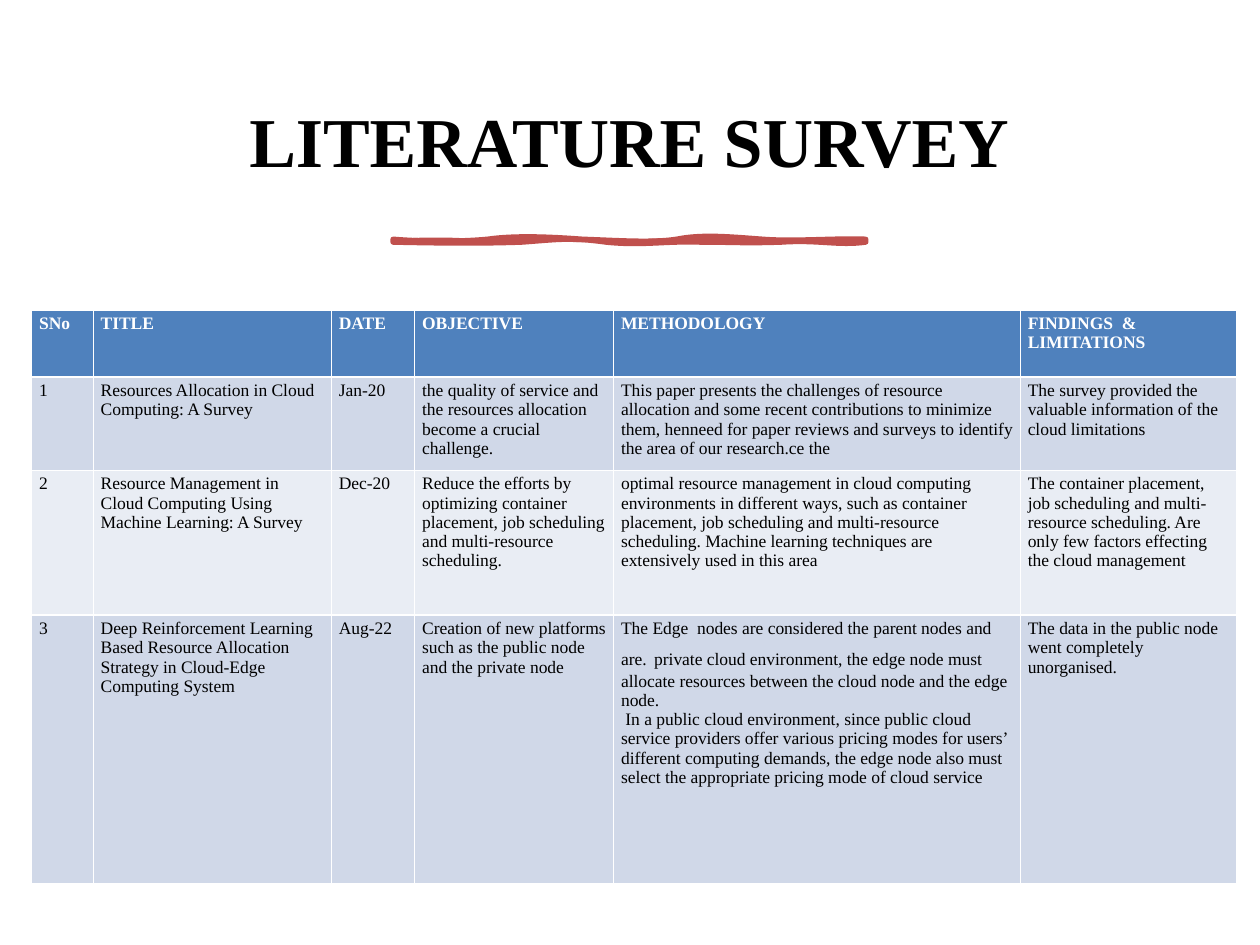
"""Build the literature survey slide: title, brush stroke and table of papers."""
import lxml.etree
import pptx
import pptx.dml.color
import pptx.enum.text
import pptx.oxml.ns
import pptx.util

Cm, Pt = pptx.util.Cm, pptx.util.Pt
qn = pptx.oxml.ns.qn

COLORS = {"text": "000000", "header_text": "FFFFFF", "header": "4F81BD",
          "odd": "D0D8E8", "even": "E9EDF4", "stroke": "C0504D"}
FONT = "Times New Roman"
TITLE = "LITERATURE SURVEY"
HEADERS = ["SNo", "TITLE", "DATE", "OBJECTIVE", "METHODOLOGY", "FINDINGS  & LIMITATIONS"]
PAPERS = [
    ["1", "Resources Allocation in Cloud Computing: A Survey", "Jan-20",
     "the quality of service and the resources allocation become a crucial challenge.",
     "This paper presents the challenges of resource allocation and some recent contributions "
     "to minimize them, henneed for paper reviews and surveys to identify the area of our "
     "research.ce the",
     "The survey provided the valuable information of the cloud limitations"],
    ["2", "Resource Management in Cloud Computing Using Machine Learning: A Survey", "Dec-20",
     "Reduce the efforts by optimizing container placement, job scheduling and "
     "multi-resource scheduling.",
     "optimal resource management in cloud computing environments in different ways, such as "
     "container placement, job scheduling and multi-resource scheduling. Machine learning "
     "techniques are extensively used in this area",
     "The container placement, job scheduling and multi-resource scheduling. Are only few "
     "factors effecting the cloud management"],
    ["3", "Deep Reinforcement Learning Based Resource Allocation Strategy in Cloud-Edge "
     "Computing System", "Aug-22",
     "Creation of new platforms such as the public node and the private node",
     [[("The Edge  nodes are considered the parent nodes and are.", 10), (" ", 17),
       ("private cloud environment, the edge node must allocate resources between the cloud "
        "node and the edge node.", 10)],
      [(" In a public cloud environment, since public cloud service providers offer various "
        "pricing modes for users’ different computing demands, the edge node also must select "
        "the appropriate pricing mode of cloud service", 10)]],
     "The data in the public node went completely unorganised."],
]
COL_WIDTHS = [1.24, 4.8, 1.68, 4.01, 8.2, 4.37]
ROW_HEIGHTS = [1.35, 1.88, 2.92, 5.41]

STROKE_LEFT, STROKE_TOP, STROKE_W, STROKE_H = 312, 190, 375, 2
OUTLINE = [
    (24, 2, 54, 2, 75, 0), (96, -3, 123, -2, 150, 0), (178, 1, 206, 3, 225, 0),
    (245, -4, 266, -2, 293, 0), (319, 2, 351, -1, 375, 0), (375, 0, 375, 1, 375, 2),
    (353, 5, 338, 0, 308, 2), (278, 3, 272, 2, 244, 2), (216, 1, 198, 5, 169, 2),
    (140, -2, 130, 0, 102, 2), (74, 3, 45, 3, 0, 2), (0, 1, 0, 0, 0, 0),
]
BODY = [
    (19, -2, 49, -2, 68, 0), (87, 1, 118, 0, 132, 0), (146, -1, 167, 2, 199, 0),
    (231, -3, 243, 2, 274, 0), (305, -3, 331, 4, 375, 0), (375, 0, 375, 1, 375, 2),
    (340, 0, 316, 2, 300, 2), (284, 1, 259, 1, 218, 2), (177, 2, 173, 0, 154, 2),
    (135, 3, 97, -2, 72, 2), (46, 5, 15, -2, 0, 2), (0, 1, 0, 0, 0, 0),
]


def rgb(name):
    return pptx.dml.color.RGBColor.from_string(COLORS[name])


def style(font, size, color, bold=False):
    font.name, font.size, font.bold = FONT, Pt(size), bold
    font.color.rgb = rgb(color)


def add_curves(paths, curves, **options):
    """Append one closed outline of cubic curves to a path list."""
    outline = lxml.etree.SubElement(paths, qn("a:path"), w=str(STROKE_W), h=str(STROKE_H),
                                    **options)
    start = lxml.etree.SubElement(outline, qn("a:moveTo"))
    lxml.etree.SubElement(start, qn("a:pt"), x="0", y="0")
    for curve in curves:
        bezier = lxml.etree.SubElement(outline, qn("a:cubicBezTo"))
        for x, y in zip(curve[::2], curve[1::2]):
            lxml.etree.SubElement(bezier, qn("a:pt"), x=str(x), y=str(y))
    lxml.etree.SubElement(outline, qn("a:close"))


def add_brush_stroke(s):
    right, bottom = STROKE_LEFT + STROKE_W, STROKE_TOP + STROKE_H
    builder = s.shapes.build_freeform(STROKE_LEFT, STROKE_TOP, scale=Cm(2.54) / 100)
    builder.add_line_segments([(right, STROKE_TOP), (right, bottom), (STROKE_LEFT, bottom)])
    sp = builder.convert_to_shape()
    sp.shadow.inherit = False
    sp.fill.solid()
    sp.fill.fore_color.rgb = rgb("stroke")
    sp.line.color.rgb = rgb("stroke")
    sp.line.width = Pt(3.25)
    paths = sp.element.find(".//" + qn("a:pathLst"))
    for child in list(paths):
        paths.remove(child)
    add_curves(paths, OUTLINE, fill="none")
    add_curves(paths, BODY, stroke="0")


def fill_cell(cell, content, fill, color, bold):
    cell.fill.solid()
    cell.fill.fore_color.rgb = rgb(fill)
    cell.margin_left = cell.margin_right = Cm(0.15)
    cell.margin_top = cell.margin_bottom = Cm(0.08)
    paragraphs = [[(content, 10)]] if isinstance(content, str) else content
    tf = cell.text_frame
    for i, runs in enumerate(paragraphs):
        p = tf.add_paragraph() if i else tf.paragraphs[0]
        style(p.font, 10, color, bold)
        for text, size in runs:
            r = p.add_run()
            r.text = text
            style(r.font, size, color, bold)


def add_survey_table(s):
    rows = [HEADERS] + PAPERS
    table = s.shapes.add_table(len(rows), len(HEADERS), Cm(0.64), Cm(6.25),
                               Cm(sum(COL_WIDTHS)), Cm(sum(ROW_HEIGHTS))).table
    for column, width in zip(table.columns, COL_WIDTHS):
        column.width = Cm(width)
    for i, (row, height, texts) in enumerate(zip(table.rows, ROW_HEIGHTS, rows)):
        row.height = Cm(height)
        fill = "header" if i == 0 else "odd" if i % 2 else "even"
        for cell, content in zip(row.cells, texts):
            fill_cell(cell, content, fill, "text" if i else "header_text", i == 0)


def main():
    prs = pptx.Presentation()
    prs.slide_width, prs.slide_height = Cm(25.4), Cm(19.05)
    s = prs.slides.add_slide(prs.slide_layouts[5])
    title = s.shapes.title
    title.left, title.top, title.width, title.height = Cm(1.32), Cm(1.17), Cm(22.73), Cm(3.48)
    tf = title.text_frame
    tf.text = TITLE
    tf.vertical_anchor = pptx.enum.text.MSO_ANCHOR.MIDDLE
    p = tf.paragraphs[0]
    p.alignment = pptx.enum.text.PP_ALIGN.CENTER
    p.line_spacing = 0.9
    style(p.font, 40, "text", True)
    add_brush_stroke(s)
    add_survey_table(s)
    prs.save("out.pptx")


if __name__ == "__main__":
    main()
